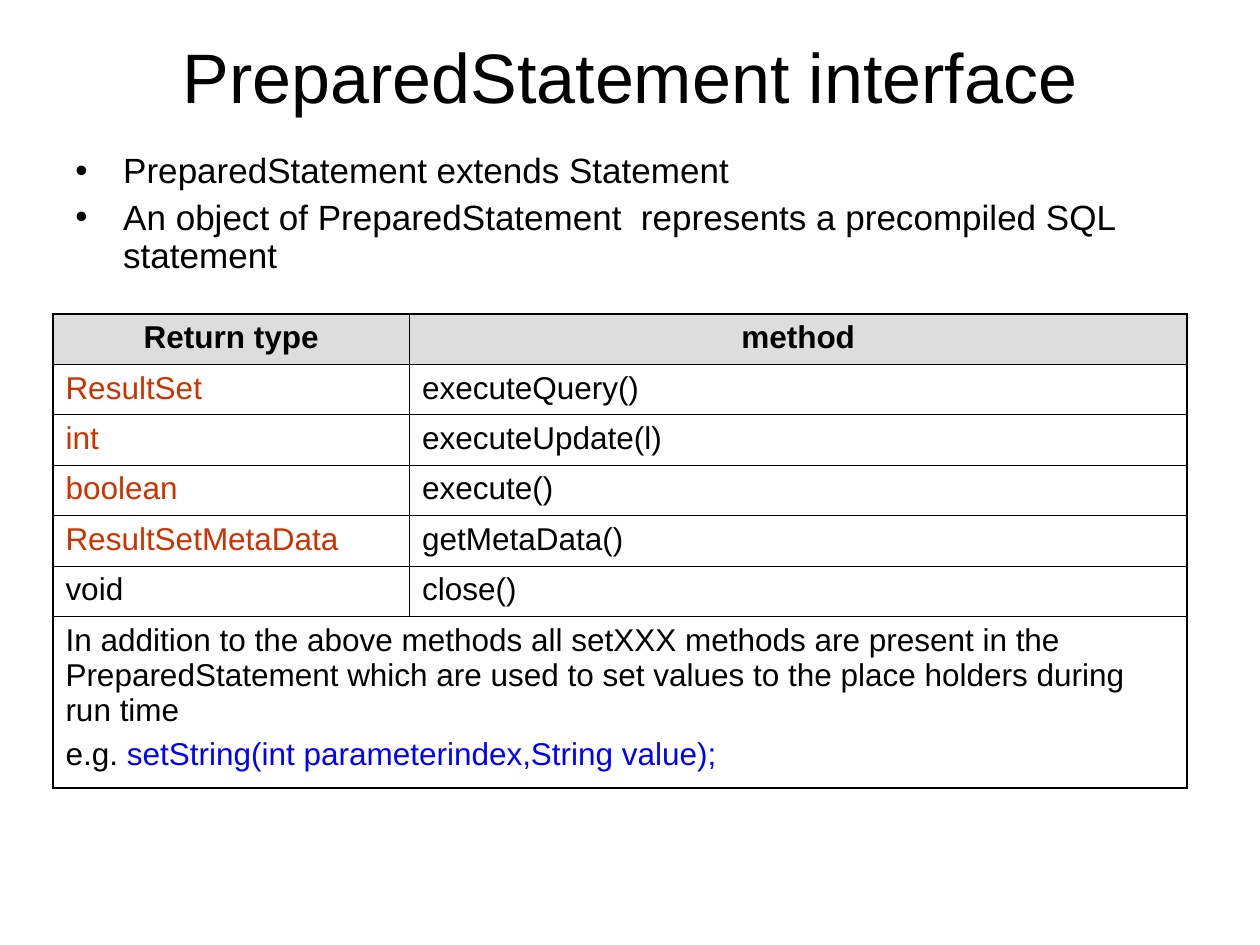
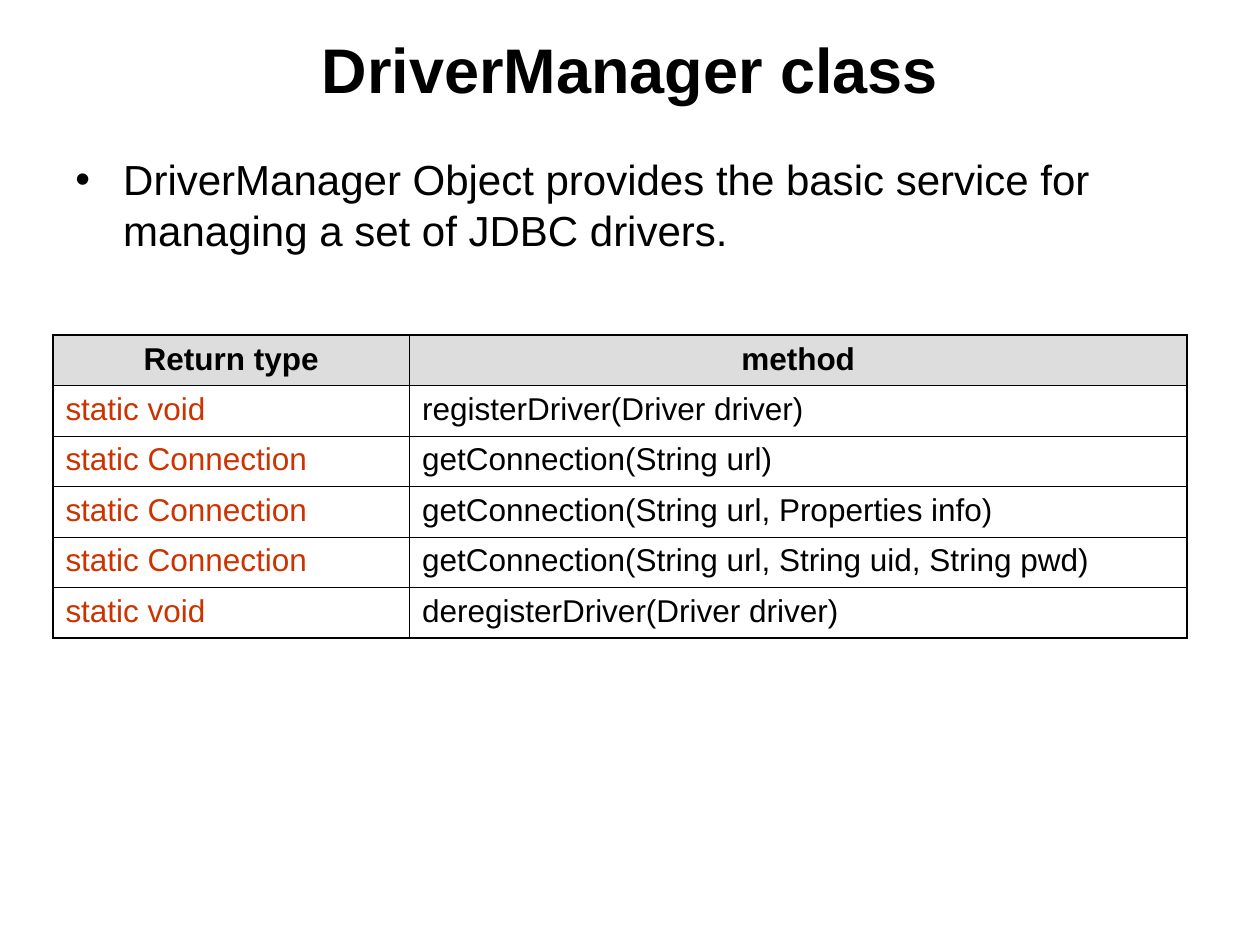
from lxml.etree import SubElement
from pptx import Presentation
from pptx.dml.color import RGBColor
from pptx.enum.text import MSO_ANCHOR, MSO_AUTO_SIZE, PP_ALIGN
from pptx.oxml.ns import qn
from pptx.util import Inches, Pt

# Shared look
FONT = "Arial"
BLACK = RGBColor(0x00, 0x00, 0x00)
RED = RGBColor(0xCC, 0x33, 0x00)
BLUE = RGBColor(0x00, 0x00, 0xFF)
GREY = RGBColor(0xDD, 0xDD, 0xDD)
LEFT, WIDE = Inches(0.5), Inches(9)
ROW = Inches(0.4)
COLS = Inches(2.83), Inches(6.17)
THIN, THICK = Pt(0.45), Pt(1.08)
HEAD = ("Return type", "method", BLACK)

# Rows: return type, method, colour of the return type
pages = [
    dict(
        title="PreparedStatement interface", size=40, bold=False, high=0.6,
        points=["PreparedStatement extends Statement",
                "An object of PreparedStatement  represents a precompiled SQL statement"],
        text=20, space=5, lead=0.9, top=2.49,
        rows=[("ResultSet", "executeQuery()", RED),
              ("int", "executeUpdate(l)", RED),
              ("boolean", "execute()", RED),
              ("ResultSetMetaData", "getMetaData()", RED),
              ("void", "close()", BLACK)],
        note=["In addition to the above methods all setXXX methods are present in the "
              "PreparedStatement which are used to set values to the place holders "
              "during run time",
              "e.g. "],
        code="setString(int parameterindex,String value);",
    ),
    dict(
        title="DriverManager class", size=36, bold=True, high=0.49,
        points=["DriverManager Object provides the basic service for "
                "managing a set of JDBC drivers."],
        text=24, space=6, lead=1.0, top=2.66,
        rows=[("static void", "registerDriver(Driver driver)", RED),
              ("static Connection", "getConnection(String url)", RED),
              ("static Connection", "getConnection(String url, Properties info)", RED),
              ("static Connection",
               "getConnection(String url, String uid, String pwd)", RED),
              ("static void", "deregisterDriver(Driver driver)", RED)],
        note=[], code="",
    ),
]


def style(para, size, color=BLACK, bold=False, align=PP_ALIGN.LEFT, space=0):
    para.alignment = align
    para.space_before = Pt(space)
    for run in para.runs:
        font = run.font
        font.name, font.size, font.bold = FONT, Pt(size), bold
        font.color.rgb = color


def edge(cell, side, width):
    line = SubElement(cell._tc.get_or_add_tcPr(), qn("a:ln" + side), w=str(width))
    fill = SubElement(line, qn("a:solidFill"))
    SubElement(fill, qn("a:srgbClr"), val=str(BLACK))


deck = Presentation()
deck.slide_width, deck.slide_height = Inches(10), Inches(7.5)

for page in pages:
    slide = deck.slides.add_slide(deck.slide_layouts[5])

    # Title
    title = slide.shapes.title
    title.left, title.top = LEFT, Inches(0.3)
    title.width, title.height = WIDE, Inches(page["high"])
    frame = title.text_frame
    frame.text = page["title"]
    frame.auto_size = MSO_AUTO_SIZE.NONE
    frame.vertical_anchor = MSO_ANCHOR.MIDDLE
    style(frame.paragraphs[0], page["size"], bold=page["bold"], align=PP_ALIGN.CENTER)

    # Bullets
    box = slide.shapes.add_textbox(LEFT, Inches(1.17), WIDE, Inches(1.08))
    frame = box.text_frame
    frame.word_wrap = True
    frame.text = "\n".join(page["points"])
    for para in frame.paragraphs:
        style(para, page["text"], space=page["space"])
        para.line_spacing = page["lead"]
        props = para._p.get_or_add_pPr()
        props.set("marL", str(Inches(0.38)))
        props.set("indent", str(-Inches(0.38)))
        SubElement(props, qn("a:buFont"), typeface=FONT)
        SubElement(props, qn("a:buChar"), char="•")

    # Method table
    rows = [HEAD] + page["rows"]
    count = len(rows) + bool(page["note"])
    table = slide.shapes.add_table(
        count, 2, Inches(0.42), Inches(page["top"]), WIDE, ROW * count).table
    table.first_row = table.horz_banding = False
    for col, width in enumerate(COLS):
        table.columns[col].width = width
    for row in range(count):
        table.rows[row].height = ROW
        for col in range(2):
            cell = table.cell(row, col)
            edge(cell, "L", THIN if col else THICK)
            edge(cell, "R", THICK if col or row == len(rows) else THIN)
            edge(cell, "T", THIN if row else THICK)
            edge(cell, "B", THICK if row == count - 1 else THIN)
            cell.fill.background()
            if row == 0:
                cell.fill.solid()
                cell.fill.fore_color.rgb = GREY
            if row < len(rows):
                cell.text = rows[row][col]
                style(cell.text_frame.paragraphs[0], 18, BLACK if col else rows[row][2],
                      row == 0, PP_ALIGN.LEFT if row else PP_ALIGN.CENTER, 4.5)

    # Closing note across both columns
    if page["note"]:
        table.rows[count - 1].height = Inches(1.36)
        cell = table.cell(count - 1, 0)
        cell.merge(table.cell(count - 1, 1))
        cell.text = "\n".join(page["note"])
        last = cell.text_frame.paragraphs[-1]
        code = last.add_run()
        code.text = page["code"]
        for para in cell.text_frame.paragraphs:
            style(para, 18, space=4.5)
        code.font.color.rgb = BLUE

deck.save("out.pptx")
